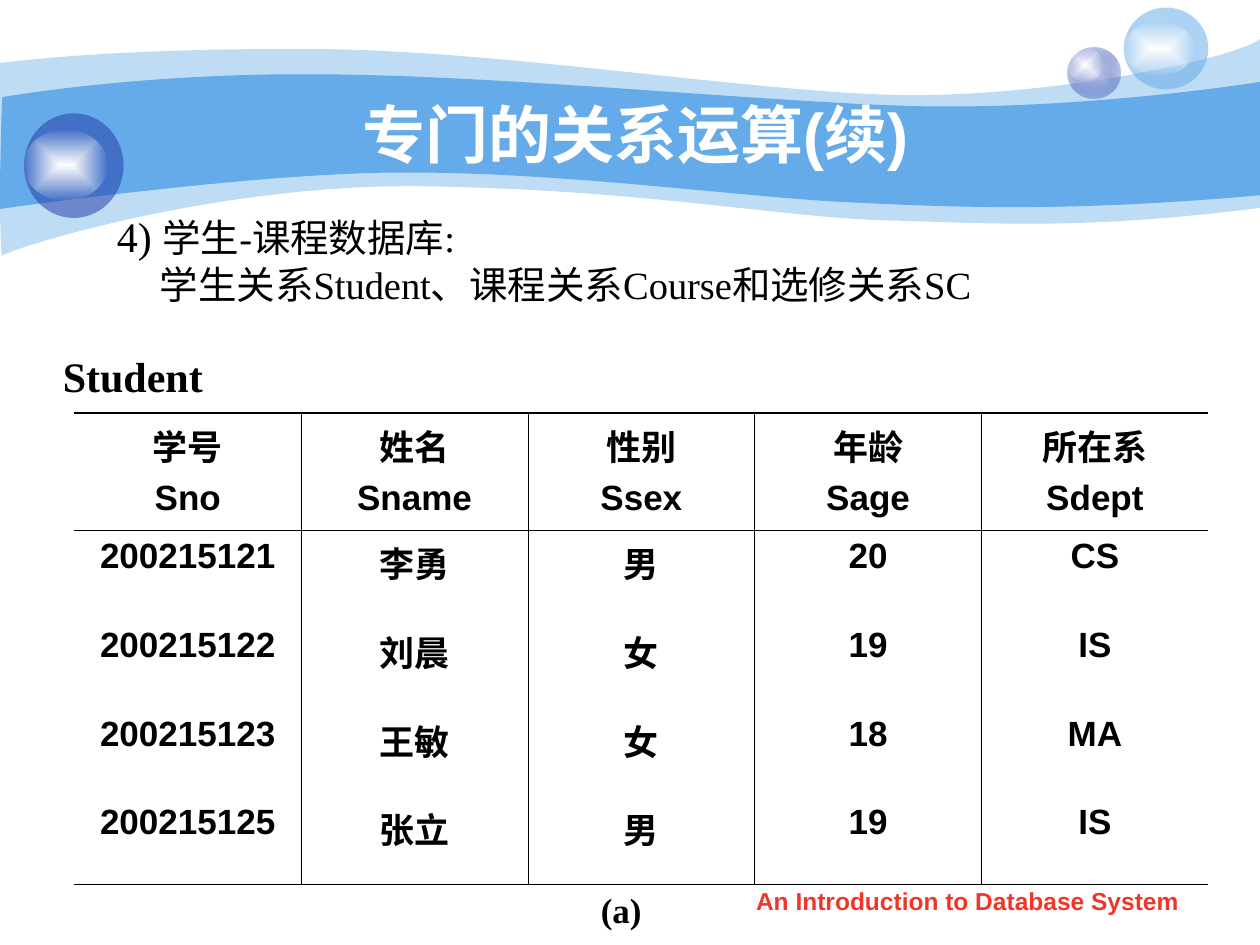
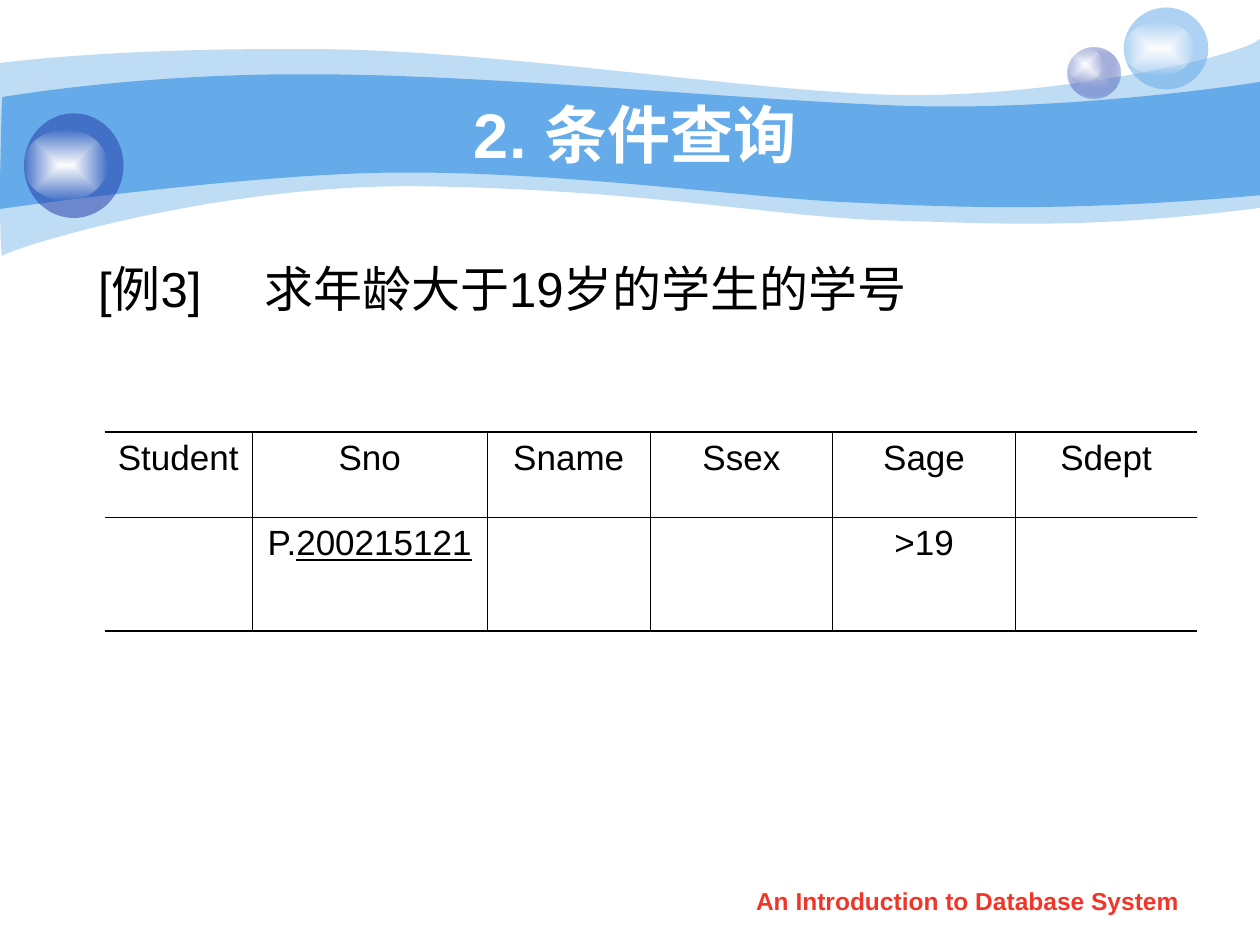
from dataclasses import dataclass

from pptx import Presentation
from pptx.dml.color import RGBColor
from pptx.enum.shapes import MSO_SHAPE
from pptx.enum.text import MSO_ANCHOR, MSO_AUTO_SIZE, PP_ALIGN
from pptx.oxml import parse_xml
from pptx.oxml.ns import nsdecls, qn
from pptx.util import Pt

PX = 9144  # 100 px to the inch


@dataclass(frozen=True)
class Theme:
    sky: str = "65AAE9"
    navy: str = "233DA9"
    mist: str = "C7CEE9"
    white: str = "FFFFFF"
    ink: str = "000000"
    red: str = "F03628"
    sans: str = "Arial"
    serif: str = "Times New Roman"
    title: int = 36
    lead: int = 28
    label: int = 24
    body: int = 22
    cell: int = 20
    foot: int = 14
    thin: float = 0.45
    thick: float = 1.08


T = Theme()

# Wave outlines: a start point, then curves (six numbers) and lines (two)
OUTER = [(0, 50), (24, 47, 108, 38, 247, 39), (386, 39, 575, 70, 699, 75),
         (822, 80, 980, 47, 1000, 31), (1000, 165),
         (858, 183, 788, 177, 705, 175), (622, 173, 515, 151, 343, 148),
         (172, 144, 4, 199, 2, 203), (-1, 208, 0, 75, 0, 50)]
INNER = [(2, 77), (3, 77, 110, 58, 248, 59), (387, 59, 596, 80, 718, 84),
         (841, 88, 976, 69, 1000, 65), (1000, 155),
         (853, 168, 766, 165, 682, 161), (599, 158, 447, 136, 317, 137),
         (203, 137, -2, 166, -1, 166), (0, 166, 1, 77, 2, 77)]

GLOW = ((T.white, 100), (T.white, 0))
# Balls: box and fill stops (colour, opacity)
BALLS = [((847, 38, 42, 40), ((T.mist, 100), (T.navy, 31))),
         ((847, 38, 28, 27), GLOW),
         ((892, 6, 67, 65), ((T.sky, 53),)),
         ((892, 17, 56, 43), GLOW),
         ((19, 90, 79, 83), ((T.navy, 53),)),
         ((19, 103, 66, 56), GLOW)]


def emu(*px):
    return [v * PX for v in px]


# Shape and text helpers
def tint(color, alpha):
    sheer = f'<a:alpha val="{alpha * 1000}"/>' if alpha < 100 else ""
    return f'<a:srgbClr val="{color}">{sheer}</a:srgbClr>'


def paint(shape, stops):
    ns = nsdecls("a")
    if len(stops) == 1:
        xml = f"<a:solidFill {ns}>{tint(*stops[0])}</a:solidFill>"
    else:
        marks = "".join(f'<a:gs pos="{i * 100000}">{tint(*stop)}</a:gs>'
                        for i, stop in enumerate(stops))
        xml = (f'<a:gradFill {ns} rotWithShape="1"><a:gsLst>{marks}</a:gsLst>'
               '<a:path path="rect"><a:fillToRect l="50000" t="50000" '
               'r="50000" b="50000"/></a:path></a:gradFill>')
    shape.element.spPr.insert(2, parse_xml(xml))
    shape.line.fill.background()
    shape.shadow.inherit = False


def style(runs, size, face=T.sans, color=T.ink, bold=False):
    for run in runs:
        font = run.font
        font.size, font.name, font.bold = Pt(size), face, bold
        font.color.rgb = RGBColor.from_string(color)


def write(slide, box, text, align=PP_ALIGN.LEFT, **look):
    frame = slide.shapes.add_textbox(*emu(*box)).text_frame
    frame.word_wrap = True
    frame.text = text
    for para in frame.paragraphs:
        para.alignment = align
        style(para.runs, **look)
    return frame


# Header band
def bend(shape, x, y, parts):
    """Turn the straight segments of a freeform into Bezier curves."""
    lines = list(shape.element.iter(qn("a:lnTo")))
    for line, part in zip(lines, parts):
        if len(part) == 6:
            spots = "".join(
                f'<a:pt x="{(x + px) * PX - shape.left}" y="{(y + py) * PX - shape.top}"/>'
                for px, py in zip(part[::2], part[1::2]))
            curve = f'<a:cubicBezTo {nsdecls("a")}>{spots}</a:cubicBezTo>'
            line.getparent().replace(line, parse_xml(curve))


def wave(slide, box, points, alpha):
    x, y = box[:2]
    first, *rest = [emu(x + part[-2], y + part[-1]) for part in points]
    pen = slide.shapes.build_freeform(*first)
    pen.add_line_segments(rest, close=True)
    shape = pen.convert_to_shape()
    bend(shape, x, y, points[1:])
    paint(shape, ((T.sky, alpha),))


def header(slide, box, text):
    x, y = box[:2]
    wave(slide, box, OUTER, 41)
    wave(slide, box, INNER, 100)
    for (left, top, w, h), stops in BALLS:
        ball = slide.shapes.add_shape(MSO_SHAPE.OVAL, *emu(x + left, y + top, w, h))
        paint(ball, stops)
    # The title goes in front of the band
    title = slide.shapes.title
    title.element.getparent().append(title.element)
    title.left, title.top, title.width, title.height = emu(x + 100, y + 75, 808, 62)
    frame = title.text_frame
    frame.text = text
    frame.auto_size = MSO_AUTO_SIZE.NONE
    frame.vertical_anchor = MSO_ANCHOR.MIDDLE
    para = frame.paragraphs[0]
    para.alignment = PP_ALIGN.CENTER
    style(para.runs, T.title, color=T.white, bold=True)


def start(deck, title):
    slide = deck.slides.add_slide(deck.slide_layouts[5])
    header(slide, (0, 0, 1000, 208), title)
    write(slide, (571, 698, 394, 35), "An Introduction to Database System",
          PP_ALIGN.CENTER, size=T.foot, color=T.red, bold=True)
    return slide


# Ruled table: heavy top and bottom, open sides, a line under the heads
def rule(cell, edges):
    props = cell._tc.get_or_add_tcPr()
    for i, (side, width) in enumerate(zip("LRTB", edges)):
        fill = (f'<a:solidFill><a:srgbClr val="{T.ink}"/></a:solidFill>'
                if width else "<a:noFill/>")
        props.insert(i, parse_xml(f'<a:ln{side} {nsdecls("a")} w="{Pt(width)}">'
                                  f"{fill}</a:ln{side}>"))


def grid(slide, box, cols, rows, data, bold=False):
    table = slide.shapes.add_table(len(rows), len(cols), *emu(*box)).table
    table.first_row = table.horz_banding = False
    for col, width in zip(table.columns, emu(*cols)):
        col.width = width
    for row, height in zip(table.rows, emu(*rows)):
        row.height = height
    for r, line in enumerate(data):
        above = {0: T.thick, 1: T.thin}.get(r, 0)
        below = T.thick if r == len(rows) - 1 else T.thin if r == 0 else 0
        for c, text in enumerate(line):
            cell = table.cell(r, c)
            cell.text_frame.text = text
            for i, para in enumerate(cell.text_frame.paragraphs):
                para.alignment = PP_ALIGN.CENTER
                if i:
                    para.space_before = Pt(5)
                style(para.runs, T.cell, bold=bold)
            cell.fill.background()
            left = T.thin if c else 0
            right = T.thin if c < len(cols) - 1 else 0
            rule(cell, (left, right, above, below))
    return table


# Slide: student relation
def student(deck):
    slide = start(deck, "专门的关系运算(续)")
    write(slide, (114, 700, 758, 44), "(a)", PP_ALIGN.CENTER,
          size=T.cell, face=T.serif, bold=True)
    name = write(slide, (40, 265, 150, 67), "Student",
                 size=T.label, face=T.serif, bold=True)
    name.vertical_anchor = MSO_ANCHOR.MIDDLE

    intro = write(slide, (83, 162, 819, 87),
                  "4) \n学生关系Student、课程关系Course和选修关系SC",
                  size=T.body, face=T.serif)
    head, tail = intro.paragraphs
    style(head.runs, T.label, T.serif)
    run = head.add_run()
    run.text = "学生-课程数据库:"
    style([run], T.body, T.serif)
    tail._p.get_or_add_pPr().set("marL", str(34 * PX))

    data = [("学号\nSno", "姓名\nSname", "性别\nSsex", "年龄\nSage", "所在系\nSdept"),
            ("200215121", "李勇", "男", "20", "CS"),
            ("200215122", "刘晨", "女", "19", "IS"),
            ("200215123", "王敏", "女", "18", "MA"),
            ("200215125", "张立", "男", "19", "IS")]
    grid(slide, (59, 328, 900, 374), [180] * 5, [93, 71, 70, 70, 70], data, bold=True)


# Slide: query by condition
def query(deck):
    slide = start(deck, "2. 条件查询")
    task = write(slide, (68, 200, 849, 136), "[例3]\t求年龄大于19岁的学生的学号", size=T.lead)
    task.paragraphs[0]._p.get_or_add_pPr().append(parse_xml(
        f'<a:tabLst {nsdecls("a")}><a:tab pos="{132 * PX}" algn="l"/></a:tabLst>'))

    data = [("Student", "Sno", "Sname", "Ssex", "Sage", "Sdept"),
            ("", "P.", "", "", ">19", "")]
    table = grid(slide, (83, 343, 867, 158), [117, 187, 129, 145, 145, 144],
                 [68, 90], data)
    run = table.cell(1, 1).text_frame.paragraphs[0].add_run()
    run.text = "200215121"
    style([run], T.cell)
    run.font.underline = True


def main():
    deck = Presentation()
    deck.slide_width, deck.slide_height = emu(1000, 750)
    student(deck)
    query(deck)
    deck.save("out.pptx")


if __name__ == "__main__":
    main()
